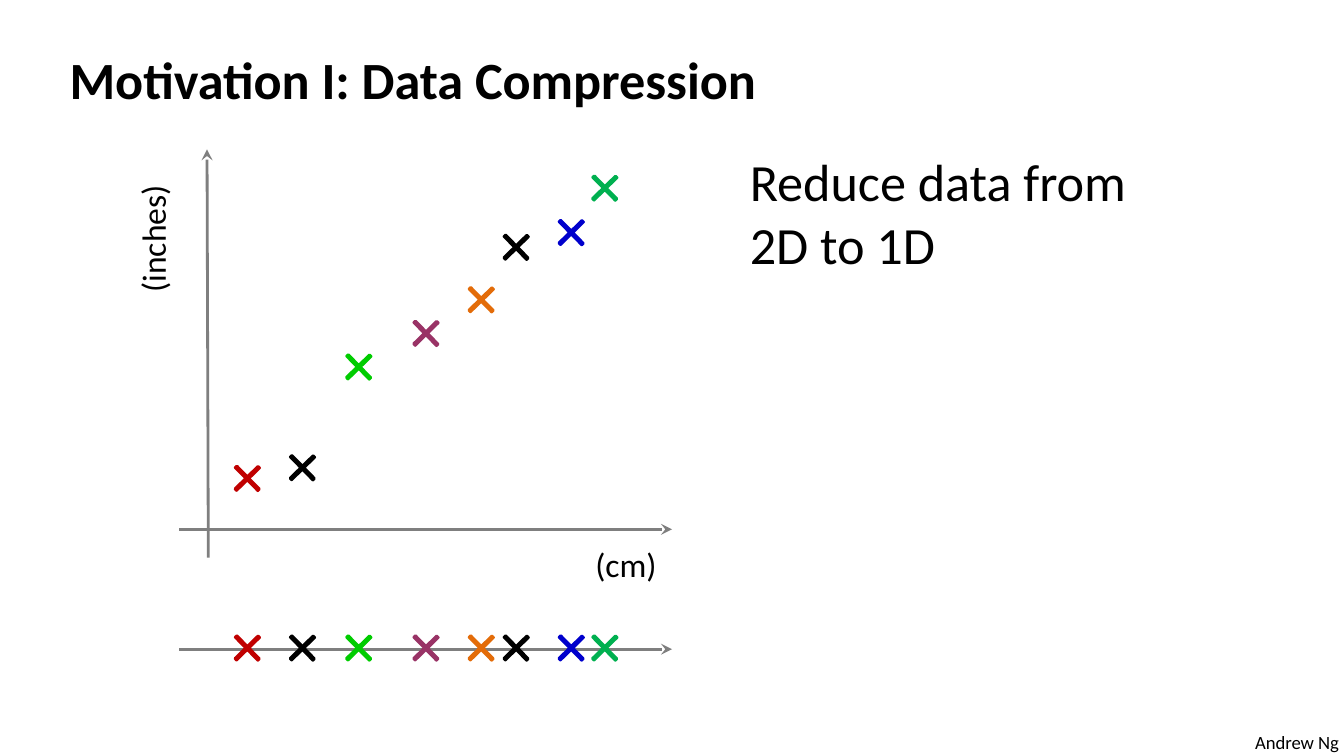
from dataclasses import dataclass

from lxml import etree
from pptx import Presentation
from pptx.dml.color import RGBColor
from pptx.enum import shapes
from pptx.oxml import ns
from pptx.util import Pt


@dataclass(frozen=True)
class Theme:
    """Colours, type sizes and line weights of the slide."""
    font: str = "Calibri"
    ink: str = "000000"
    axis: str = "7F7F7F"
    heading: float = 28
    label: float = 18
    credit: float = 10
    stroke: float = 1.5
    cross: float = 17.28


THEME = Theme()

SAMPLES = [
    (36.5, 176.3, "C00000"),
    (66, 170.6, "000000"),
    (96.2, 116.6, "00CC00"),
    (132.2, 98.6, "993366"),
    (161.8, 80.6, "E36C09"),
    (180.5, 52.5, "000000"),
    (210, 44.6, "0000CC"),
    (228, 20.8, "00B050"),
]


def add_text(slide, box, *lines, size=THEME.label, bold=False, rotation=0, wrap=True):
    """Place one paragraph per line in a text box."""
    holder = slide.shapes.add_textbox(*map(Pt, box))
    holder.rotation = rotation
    frame = holder.text_frame
    frame.word_wrap = wrap
    frame.text = "\n".join(lines)
    for paragraph in frame.paragraphs:
        font = paragraph.font
        font.name, font.size, font.bold = THEME.font, Pt(size), bold
        font.color.rgb = RGBColor.from_string(THEME.ink)


def add_axis(slide, start, end):
    """Draw a grey axis with a stealth arrowhead at its end."""
    axis = slide.shapes.add_connector(
        shapes.MSO_CONNECTOR.STRAIGHT, *map(Pt, (*start, *end)))
    axis.line.color.rgb = RGBColor.from_string(THEME.axis)
    axis.line.width = Pt(THEME.stroke)
    etree.SubElement(axis.line._get_or_add_ln(), ns.qn("a:tailEnd"), type="stealth")
    etree.SubElement(axis._element.spPr, ns.qn("a:effectLst"))


def add_cross(slide, x, y, color):
    """Draw a diagonal cross centred on a point."""
    size = THEME.cross
    cross = slide.shapes.add_shape(
        shapes.MSO_SHAPE.CROSS, *map(Pt, (x - size / 2, y - size / 2, size, size)))
    cross.adjustments[0] = 0.466
    cross.rotation = 45.6
    cross.shadow.inherit = False
    cross.fill.solid()
    cross.fill.fore_color.rgb = cross.line.color.rgb = RGBColor.from_string(color)
    cross.line.width = Pt(THEME.stroke)


def add_scatter(slide, box):
    """Draw the two-dimensional data with its axes and unit labels."""
    left, top, width, height = box
    baseline = top + height - 15.2
    add_axis(slide, (left + 15.6, top + height), (left + 14.9, top))
    add_axis(slide, (left, baseline), (left + width, baseline))
    for x, y, color in SAMPLES:
        add_cross(slide, left + x, top + y, color)
    add_text(slide, (left - 55.7, top + 28, 82.8, 28.8), "(inches)", rotation=270)
    add_text(slide, (left + 215.8, top + 208, 82.8, 28.8), "(cm)")


def add_projection(slide, box):
    """Draw the same data projected onto a single axis."""
    left, top, width, height = box
    middle = top + height / 2
    add_axis(slide, (left, middle), (left + width, middle))
    for x, _, color in SAMPLES:
        add_cross(slide, left + x, middle - 0.6, color)


def main():
    """Build and save the slide."""
    deck = Presentation()
    deck.slide_width, deck.slide_height = Pt(720), Pt(405)
    slide = deck.slides.add_slide(deck.slide_layouts[6])
    add_text(slide, (665.3, 388, 60.5, 19.4), "Andrew Ng", size=THEME.credit, wrap=False)
    add_text(slide, (30.2, 21.6, 653.8, 41), "Motivation I: Data Compression",
             size=THEME.heading, bold=True)
    add_scatter(slide, (96, 80, 264, 218.8))
    add_projection(slide, (96, 338, 264, 19.6))
    add_text(slide, (394.6, 76.3, 295.2, 74.9), "Reduce data from", "2D to 1D",
             size=THEME.heading)
    deck.save("out.pptx")


if __name__ == "__main__":
    main()
